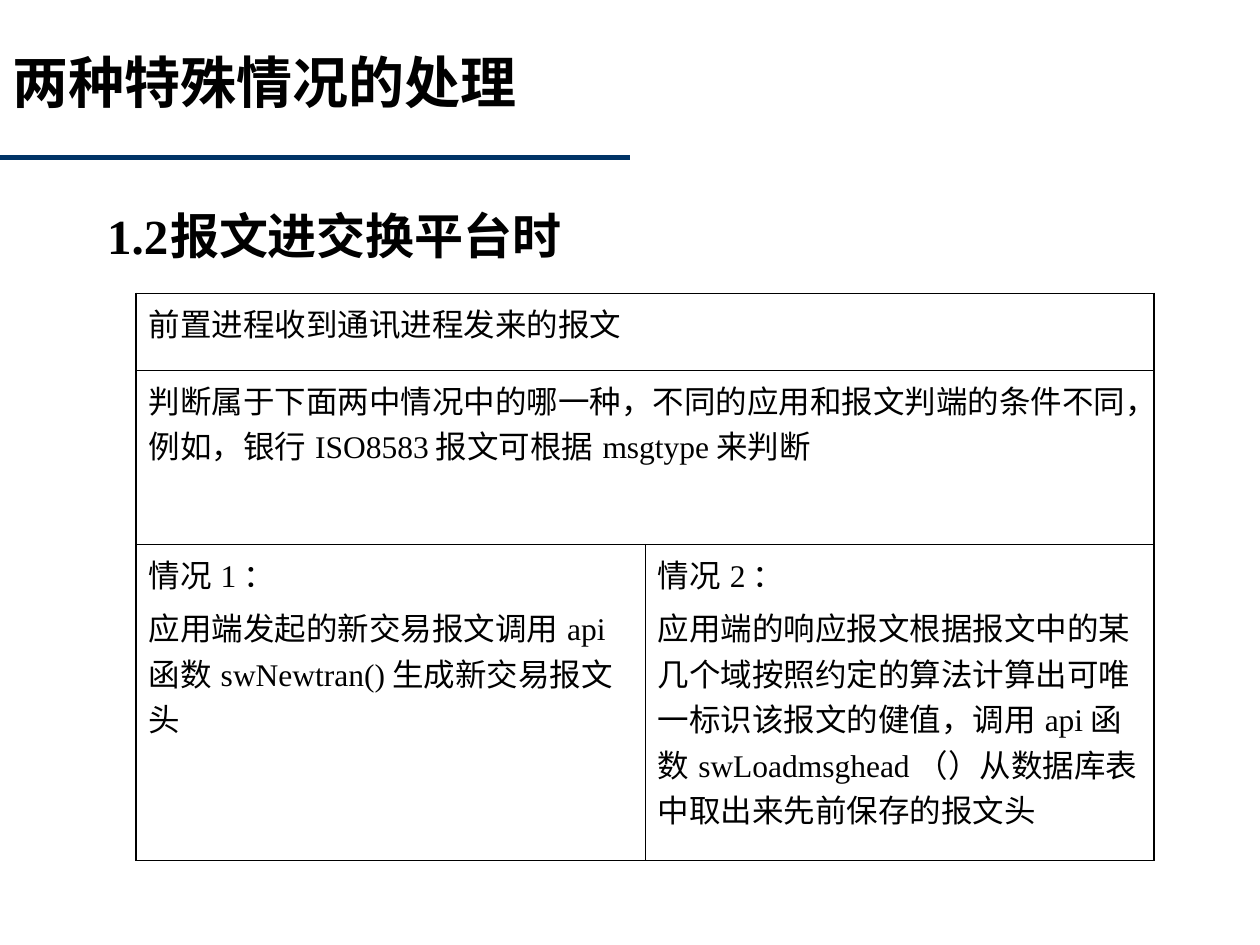
from pptx import Presentation
from pptx.dml.color import RGBColor
from pptx.enum.shapes import MSO_CONNECTOR
from pptx.enum.text import MSO_ANCHOR, MSO_AUTO_SIZE, PP_ALIGN
from pptx.oxml import parse_xml
from pptx.oxml.ns import nsdecls
from pptx.util import Inches, Pt

BLACK = RGBColor(0x00, 0x00, 0x00)
NAVY = RGBColor(0x00, 0x33, 0x66)
SERIF = "Times New Roman"
CHINESE = "Noto Sans CJK SC"
OUTER, INNER = Pt(1.08), Pt(0.45)


def element(tag, content="", **attributes):
    """Make a DrawingML element from its tag name."""
    listed = "".join(f' {name}="{value}"' for name, value in attributes.items())
    return parse_xml(f"<a:{tag} {nsdecls('a')}{listed}>{content}</a:{tag}>")


class SlideBuilder:
    def __init__(self, deck):
        self.page = deck.slides.add_slide(deck.slide_layouts[1])

    def style(self, frame, size, latin=SERIF, bold=False, gap=0):
        for index, para in enumerate(frame.paragraphs):
            para.alignment = PP_ALIGN.LEFT
            para.space_before = Pt(gap if index else 0)
            for span in para.runs:
                span.font.size = Pt(size)
                span.font.bold = bold
                span.font.color.rgb = BLACK
                span.font.name = latin
                span.font._element.append(element("ea", typeface=CHINESE))

    def heading(self, box, text, place, size, latin, tab=None):
        box.left, box.top, box.width, box.height = map(Inches, place)
        frame = box.text_frame
        frame.text = text
        frame.word_wrap = True
        frame.auto_size = MSO_AUTO_SIZE.NONE
        frame.vertical_anchor = MSO_ANCHOR.TOP
        properties = frame.paragraphs[0]._p.get_or_add_pPr()
        properties.set("marL", "0")
        properties.set("indent", "0")
        properties.append(element("buNone"))
        if tab:
            stop = f'<a:tab pos="{Inches(tab)}" algn="l"/>'
            properties.append(element("tabLst", stop))
        self.style(frame, size, latin, bold=True)

    def rule(self, left, right, top):
        line = self.page.shapes.add_connector(
            MSO_CONNECTOR.STRAIGHT,
            Inches(left), Inches(top), Inches(right), Inches(top))
        line.line.color.rgb = NAVY
        line.line.width = Pt(3)
        line._element.spPr.append(element("effectLst"))

    def border(self, cell, **widths):
        properties = cell._tc.get_or_add_tcPr()
        for side, width in widths.items():
            paint = f'<a:solidFill><a:srgbClr val="{BLACK}"/></a:solidFill>'
            properties.append(element(f"ln{side}", paint, w=width))

    def table(self, rows, heights, place):
        """Draw a table in which a row with a single text spans all columns."""
        columns = max(map(len, rows))
        table = self.page.shapes.add_table(
            len(rows), columns, *map(Inches, place)).table
        table.first_row = table.horz_banding = False
        last_row, last_column = len(rows) - 1, columns - 1
        for r, (texts, height) in enumerate(zip(rows, heights)):
            table.rows[r].height = Inches(height)
            merged = len(texts) == 1
            if merged:
                table.cell(r, 0).merge(table.cell(r, last_column))
            for c in range(columns):
                cell = table.cell(r, c)
                self.border(
                    cell,
                    L=OUTER if c == 0 else INNER,
                    R=OUTER if merged or c == last_column else INNER,
                    T=OUTER if r == 0 else INNER,
                    B=OUTER if r == last_row else INNER)
                cell.fill.background()
                if c < len(texts):
                    cell.text_frame.text = texts[c]
                    self.style(cell.text_frame, 18, gap=4.5)


def main():
    deck = Presentation()
    deck.slide_width, deck.slide_height = Inches(10), Inches(7.5)
    slide = SlideBuilder(deck)
    title, body = slide.page.placeholders
    slide.rule(0, 5, 1.25)
    slide.heading(title, "两种特殊情况的处理", (0, 0.33, 7.58, 1.25), 32, CHINESE)
    slide.heading(body, "1.2\t报文进交换平台时", (0.75, 1.58, 8.5, 0.67), 28,
                  SERIF, tab=0.77)
    slide.table(
        [
            ["前置进程收到通讯进程发来的报文"],
            ["判断属于下面两中情况中的哪一种，不同的应用和报文判端的条件不同，"
             "例如，银行ISO8583报文可根据msgtype来判断"],
            ["情况1：\n应用端发起的新交易报文调用api函数swNewtran()生成新交易报文头",
             "情况2：\n应用端的响应报文根据报文中的某几个域按照约定的算法计算出"
             "可唯一标识该报文的健值，调用api函数swLoadmsghead（）"
             "从数据库表中取出来先前保存的报文头"],
        ],
        heights=(0.61, 1.38, 2.51),
        place=(1.08, 2.33, 8.08, 4.5))
    deck.save("out.pptx")


if __name__ == "__main__":
    main()
